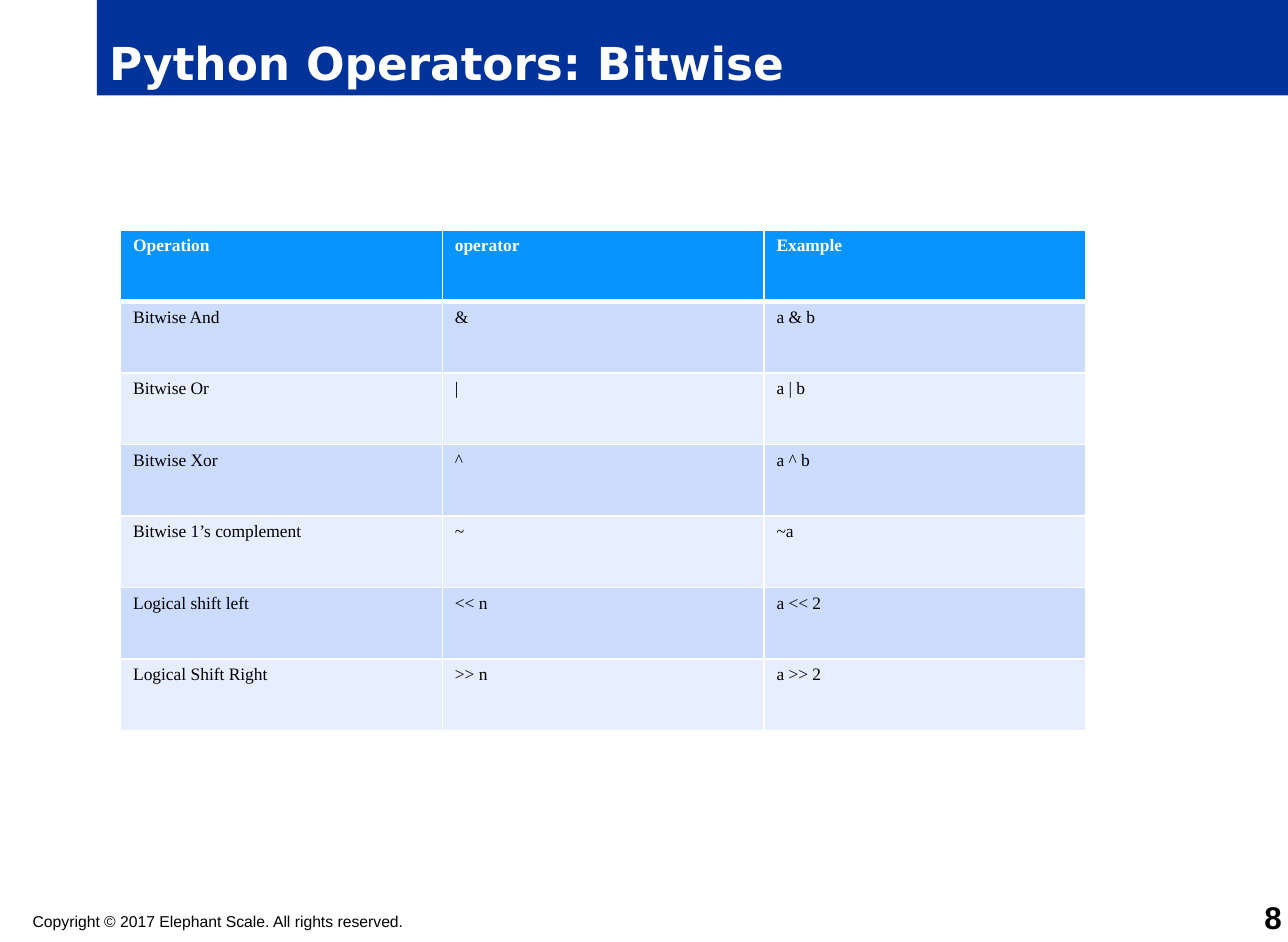
import pptx
import pptx.dml.color
import pptx.enum.shapes
import pptx.enum.text
import pptx.oxml
import pptx.oxml.ns
import pptx.util

PX = 9144  # EMU in one px, 100 px to the inch
COLORS = {
    "title_bar": "003399",
    "header": "0794FF",
    "odd_row": "CCDCFF",
    "even_row": "E7EEFF",
    "white": "FFFFFF",
    "black": "000000",
}
COLUMN_WIDTH, ROW_HEIGHT = 256, 57
ROWS = [
    ("Operation", "operator", "Example"),
    ("Bitwise And", "&", "a & b"),
    ("Bitwise Or", "|", "a | b"),
    ("Bitwise Xor", "^", "a ^ b"),
    ("Bitwise 1’s complement", "~", "~a"),
    ("Logical shift left", "<< n", "a << 2"),
    ("Logical Shift Right", ">> n", "a >> 2"),
]


def write(text_frame, text, font_name, size, color, bold=False):
    text_frame.text = text
    paragraph = text_frame.paragraphs[0]
    paragraph.font.name = font_name
    paragraph.font.size = pptx.util.Pt(size)
    paragraph.font.bold = bold
    paragraph.font.color.rgb = pptx.dml.color.RGBColor.from_string(COLORS[color])
    return paragraph


def add_borders(cell, widths):
    """Draw white borders; widths are points for left, right, top and bottom."""
    properties = cell._tc.get_or_add_tcPr()
    for index, (side, width) in enumerate(zip("LRTB", widths)):
        properties.insert(index, pptx.oxml.parse_xml(
            f'<a:ln{side} {pptx.oxml.ns.nsdecls("a")} w="{pptx.util.Pt(width)}">'
            f'<a:solidFill><a:srgbClr val="{COLORS["white"]}"/></a:solidFill></a:ln{side}>'))


presentation = pptx.Presentation()
presentation.slide_width = 1025 * PX
presentation.slide_height = 750 * PX
slide = presentation.slides.add_slide(presentation.slide_layouts[6])

# Title bar
title_bar = slide.shapes.add_shape(
    pptx.enum.shapes.MSO_SHAPE.RECTANGLE, 77 * PX, 0, 948 * PX, 76 * PX)
title_bar.shadow.inherit = False
title_bar.fill.solid()
title_bar.fill.fore_color.rgb = pptx.dml.color.RGBColor.from_string(COLORS["title_bar"])
title_bar.line.fill.background()
title_bar.text_frame.vertical_anchor = pptx.enum.text.MSO_ANCHOR.BOTTOM
title = write(title_bar.text_frame, "Python Operators: Bitwise", "DejaVu Sans", 26, "white", True)
title.alignment = pptx.enum.text.PP_ALIGN.LEFT

# Operator table
table = slide.shapes.add_table(
    len(ROWS), len(ROWS[0]), 96 * PX, 183 * PX,
    len(ROWS[0]) * COLUMN_WIDTH * PX, len(ROWS) * ROW_HEIGHT * PX).table
for row_index, row in enumerate(ROWS):
    if row_index == 0:
        fill, color = "header", "white"
    else:
        fill, color = ("odd_row" if row_index % 2 else "even_row"), "black"
    top = 3 if row_index == 1 else 1
    bottom = 3 if row_index == 0 else 1
    for column_index, text in enumerate(row):
        cell = table.cell(row_index, column_index)
        cell.fill.solid()
        cell.fill.fore_color.rgb = pptx.dml.color.RGBColor.from_string(COLORS[fill])
        add_borders(cell, (1, 1, top, bottom))
        write(cell.text_frame, text, "Times New Roman", 10, color, row_index == 0)

# Footer
footer = [
    ("Copyright © 2017 Elephant Scale. All rights reserved.", (26, 726, 595, 15), 9, False,
     pptx.enum.text.PP_ALIGN.LEFT, pptx.enum.text.MSO_ANCHOR.TOP),
    ("8", (960, 720, 60, 25), 18, True,
     pptx.enum.text.PP_ALIGN.RIGHT, pptx.enum.text.MSO_ANCHOR.BOTTOM),
]
for text, box, size, bold, alignment, anchor in footer:
    text_frame = slide.shapes.add_textbox(*(length * PX for length in box)).text_frame
    text_frame.word_wrap = True
    text_frame.margin_left = text_frame.margin_right = 0
    text_frame.margin_top = text_frame.margin_bottom = 0
    text_frame.vertical_anchor = anchor
    write(text_frame, text, "Arial", size, "black", bold).alignment = alignment

presentation.save("out.pptx")
